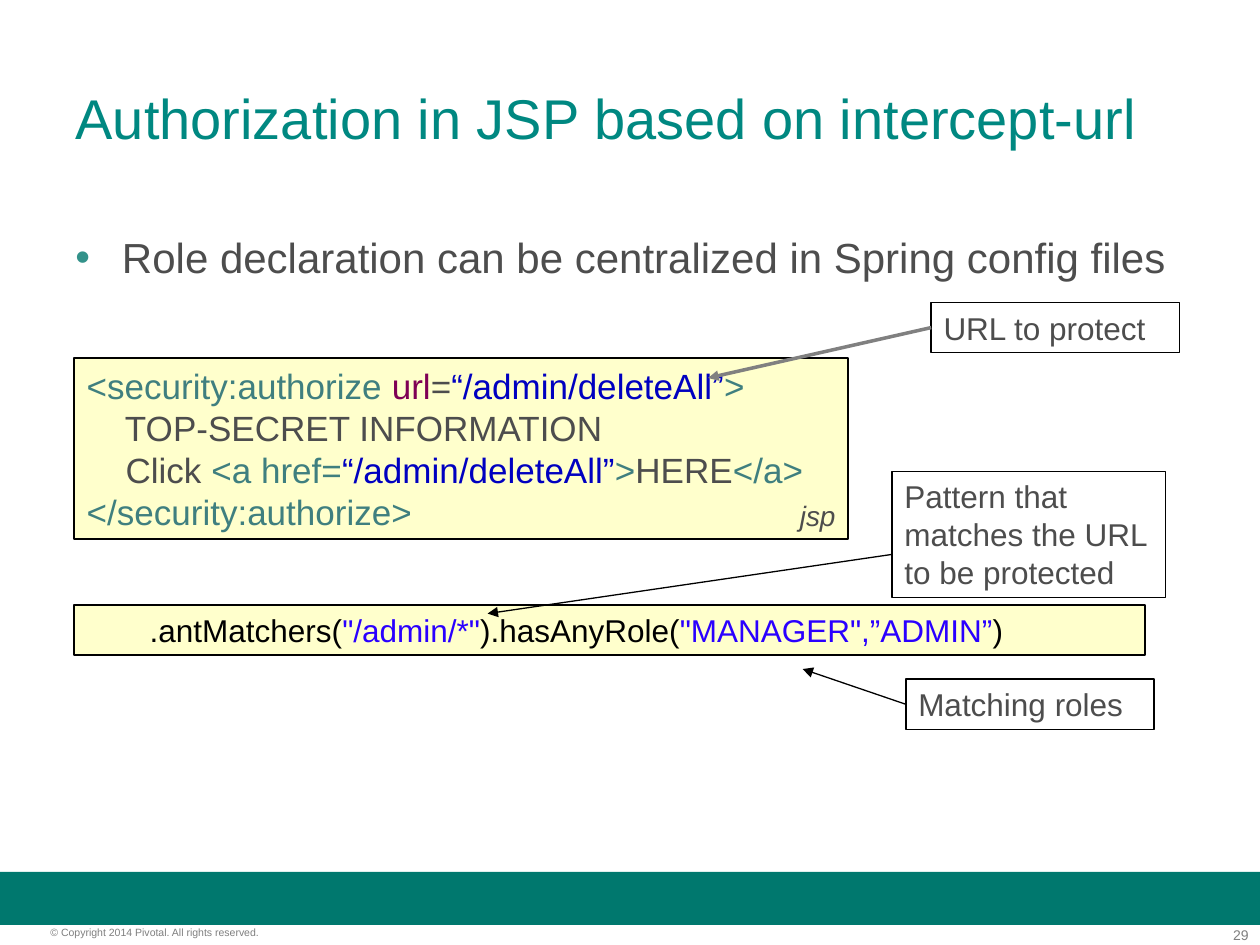
from lxml.etree import SubElement
from pptx import Presentation
from pptx.dml.color import RGBColor
from pptx.enum.shapes import MSO_CONNECTOR, MSO_SHAPE
from pptx.enum.text import MSO_ANCHOR, MSO_AUTO_SIZE, PP_ALIGN
from pptx.oxml.ns import qn
from pptx.util import Inches, Pt

HUES = {
    "band": "00786E", "title": "008881", "bullet": "33928A", "text": "4D4D4D",
    "foot": "7F7F7F", "cream": "FFFFCC", "white": "FFFFFF", "black": "000000",
    "gray": "808080", "tag": "3F7F7F", "attr": "7F0055", "value": "0000C0",
    "string": "2A00FF",
}
FONT = "Arial"
PAD = (0.1, 0.05)

TITLE = "Authorization in JSP based on intercept-url"
POINT = "Role declaration can be centralized in Spring config files"

# Each line of code is a list of (text, hue) runs.
JSP = [
    [("<security:authorize ", "tag"), ("url", "attr"), ("=", "text"),
     ("“/admin/deleteAll”", "value"), (">", "tag")],
    [("    TOP-SECRET INFORMATION", "text")],
    [("    Click ", "text"), ("<a href=", "tag"), ("“/admin/deleteAll”", "value"),
     (">", "tag"), ("HERE", "text"), ("</a>", "tag")],
    [("</security:authorize>", "tag")],
]
RULE = [
    [("\t.antMatchers(", "black"), ('"/admin/*"', "string"),
     (").hasAnyRole(", "black"), ('"MANAGER",”ADMIN”', "string"), (")", "black")],
]
CODES = [  # lines, place, size
    (JSP, (0.59, 2.84, 6.14, 1.44), 20),
    (RULE, (0.59, 4.8, 8.5, 0.4), 18),
]
# text, place, arrow start (None: middle of left side), arrow tip, hue, width
NOTES = [
    ("URL to protect", (7.39, 2.4, 1.97, 0.4), None, (5.62, 3), "gray", 0),
    ("Matching roles", (7.19, 5.39, 1.97, 0.4), None, (6.37, 5.31), "black", 0.75),
    ("Pattern that matches the URL to be protected", (7.08, 3.74, 2.17, 1),
     (7.08, 4.4), (3.87, 4.87), "black", 0.75),
]
FOOTS = [  # text, place, size, alignment
    ("29", (9.33, 7.35, 0.58, 0.13), 8, PP_ALIGN.RIGHT),
    ("© Copyright 2014 Pivotal. All rights reserved.", (0.4, 7.35, 2.49, 0.1),
     6, PP_ALIGN.LEFT),
]


def rgb(hue):
    return RGBColor.from_string(HUES[hue])


def inch(*nums):
    return [Inches(n) for n in nums]


def style(font, size, hue=None):
    font.name, font.size = FONT, Pt(size)
    if hue:
        font.color.rgb = rgb(hue)


def write(shape, lines, size, pad=PAD, align=PP_ALIGN.LEFT, anchor=MSO_ANCHOR.TOP):
    """Fill a shape with lines of (text, hue) runs."""
    frame = shape.text_frame
    frame.word_wrap = True
    frame.auto_size = MSO_AUTO_SIZE.NONE
    frame.vertical_anchor = anchor
    frame.margin_left = frame.margin_right = Inches(pad[0])
    frame.margin_top = frame.margin_bottom = Inches(pad[1])
    for i, line in enumerate(lines):
        para = frame.add_paragraph() if i else frame.paragraphs[0]
        para.alignment = align
        style(para.font, size, line[0][1] if len(line) == 1 else None)
        for text, hue in line:
            run = para.add_run()
            run.text = text
            if len(line) > 1:
                run.font.color.rgb = rgb(hue)
    return frame


def add_box(slide, place, fill, width=None):
    box = slide.shapes.add_shape(MSO_SHAPE.RECTANGLE, *inch(*place))
    box.shadow.inherit = False
    box.fill.solid()
    box.fill.fore_color.rgb = rgb(fill)
    if width is None:
        box.line.fill.background()
    else:
        box.line.color.rgb = rgb("black")
        box.line.width = Pt(width)
    return box


def add_arrow(slide, box, start, tip, hue, width):
    left = box.left, box.top + box.height // 2
    line = slide.shapes.add_connector(
        MSO_CONNECTOR.STRAIGHT, *(inch(*start) if start else left), *inch(*tip))
    if start is None:
        line.begin_connect(box, 1)
    line.line.color.rgb = rgb(hue)
    line.line.width = Pt(width)
    SubElement(line.line._get_or_add_ln(), qn("a:tailEnd"), type="triangle")
    SubElement(line._element.spPr, qn("a:effectLst"))


def add_bullet(para, indent):
    props = para._p.get_or_add_pPr()
    props.set("marL", str(Inches(indent)))
    props.set("indent", str(-Inches(indent)))
    tint = SubElement(props, qn("a:buClr"))
    SubElement(tint, qn("a:srgbClr"), val=HUES["bullet"])
    SubElement(props, qn("a:buFont"), typeface=FONT)
    SubElement(props, qn("a:buChar"), char="•")


def main():
    deck = Presentation()
    deck.slide_width, deck.slide_height = inch(10, 7.5)
    slide = deck.slides.add_slide(deck.slide_layouts[5])

    add_box(slide, (0, 6.92, 10, 0.42), "band")
    for text, place, size, align in FOOTS:
        foot = slide.shapes.add_textbox(*inch(*place))
        write(foot, [[(text, "foot")]], size, (0, 0), align)

    title = slide.shapes.title
    title.left, title.top, title.width, title.height = inch(0.5, 0.61, 9, 0.64)
    write(title, [[(TITLE, "title")]], 32, anchor=MSO_ANCHOR.MIDDLE)

    body = slide.shapes.add_textbox(*inch(0.5, 1.75, 9, 4.95))
    para = body.text_frame.paragraphs[0]
    add_bullet(para, 0.37)
    write(body, [[(POINT, "text")]], 24, (0.1, 0.09))

    for lines, place, size in CODES:
        write(add_box(slide, place, "cream", 1), lines, size)
    label = slide.shapes.add_textbox(*inch(6.25, 3.91, 0.63, 0.38))
    write(label, [[("jsp", "text")]], 16).paragraphs[0].font.italic = True

    for text, place, *arrow in NOTES:
        box = add_box(slide, place, "white", 0.75)
        write(box, [[(text, "text")]], 18)
        add_arrow(slide, box, *arrow)

    deck.save("out.pptx")


if __name__ == "__main__":
    main()
